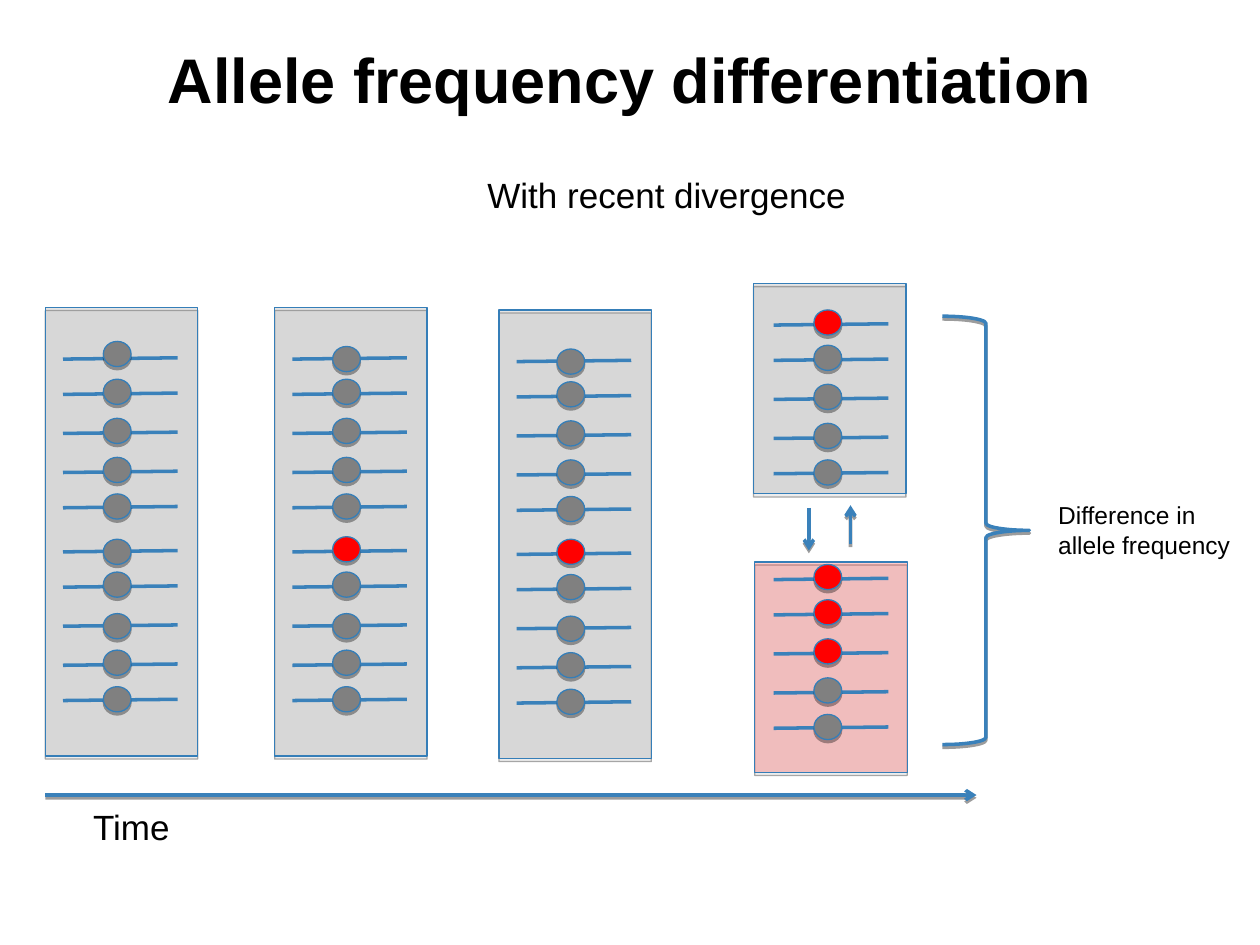
import pptx
import pptx.dml.color
import pptx.enum.shapes
import pptx.enum.text
import pptx.oxml
import pptx.oxml.ns
import pptx.util
from pptx.util import Inches

COLORS = {"ancestral": "808080", "derived": "FF0000", "outline": "357EB8",
          "strand": "3A81BA", "text": "000000", "shadow": "000000"}
SHAPE = pptx.enum.shapes.MSO_SHAPE
rgb = pptx.dml.color.RGBColor.from_string


def set_effects(element, opacity=0, distance=0):
    properties = element.spPr
    for old in properties.findall(pptx.oxml.ns.qn("a:effectLst")):
        properties.remove(old)
    shadow = (f'<a:outerShdw blurRad="0" dist="{pptx.util.Pt(distance)}" dir="5400000" '
              f'rotWithShape="0"><a:srgbClr val="{COLORS["shadow"]}">'
              f'<a:alpha val="{opacity * 1000}"/></a:srgbClr></a:outerShdw>') if opacity else ""
    properties.append(pptx.oxml.parse_xml(
        f'<a:effectLst {pptx.oxml.ns.nsdecls("a")}>{shadow}</a:effectLst>'))


def add_filled(kind, left, top, width, height, color, opacity=100):
    filled = slide.shapes.add_shape(kind, Inches(left), Inches(top), Inches(width), Inches(height))
    filled.fill.solid()
    filled.fill.fore_color.rgb = rgb(color)
    if opacity < 100:
        filled.fill._xPr.find(".//" + pptx.oxml.ns.qn("a:srgbClr")).append(pptx.oxml.parse_xml(
            f'<a:alpha {pptx.oxml.ns.nsdecls("a")} val="{opacity * 1000}"/>'))
    filled.line.color.rgb = rgb(COLORS["outline"])
    filled.line.width = pptx.util.Pt(0.75)
    set_effects(filled._element, 35, 1.8)


presentation = pptx.Presentation()
presentation.slide_width = Inches(10)
presentation.slide_height = Inches(7.5)
slide = presentation.slides.add_slide(presentation.slide_layouts[5])

title = slide.shapes.title
title.left, title.top, title.width, title.height = Inches(0.5), Inches(0), Inches(9), Inches(1.25)
title.text_frame.vertical_anchor = pptx.enum.text.MSO_ANCHOR.MIDDLE
title.text_frame.margin_top = title.text_frame.margin_bottom = Inches(0.1)
heading = title.text_frame.paragraphs[0]
heading.alignment = pptx.enum.text.PP_ALIGN.CENTER
heading_run = heading.add_run()
heading_run.text = "Allele frequency differentiation"
heading_run.font.name = "Arial"
heading_run.font.size = pptx.util.Pt(36)
heading_run.font.bold = True
heading_run.font.color.rgb = rgb(COLORS["text"])

strand_offsets = [0, 0.28, 0.59, 0.9, 1.18, 1.53, 1.81, 2.12, 2.43, 2.71]
allele_offsets = [-0.12, 0.16, 0.47, 0.78, 1.07, 1.41, 1.69, 2.02, 2.31, 2.6]
populations = [
    (0.36, 2.44, 3.56, "ancestral", 0.5, 2.85, 10, [], {0: -0.14, 5: 1.43}),
    (2.18, 2.44, 3.56, "ancestral", 2.32, 2.85, 10, [5], {0: -0.1}),
    (3.96, 2.46, 3.56, "ancestral", 4.1, 2.87, 10, [5], {0: -0.1}),
    (5.98, 2.25, 1.67, "ancestral", 6.14, 2.58, 5, [0], {}),
    (5.99, 4.46, 1.67, "derived", 6.14, 4.6, 5, [0, 1, 2], {}),
]
for left, top, height, tint, strand_left, first, count, derived, moved in populations:
    add_filled(SHAPE.RECTANGLE, left, top, 1.21, height, COLORS[tint], 20)
    for index in range(count):
        y = first + strand_offsets[index]
        strand = slide.shapes.add_connector(
            pptx.enum.shapes.MSO_CONNECTOR.STRAIGHT, Inches(strand_left), Inches(y),
            Inches(strand_left + 0.91), Inches(y - 0.01))
        strand.line.color.rgb = rgb(COLORS["strand"])
        strand.line.width = pptx.util.Pt(2)
        set_effects(strand._element)
        allele = "derived" if index in derived else "ancestral"
        add_filled(SHAPE.OVAL, strand_left + 0.32, first + moved.get(index, allele_offsets[index]),
                   0.22, 0.2, COLORS[allele])

brace = slide.shapes.add_shape(SHAPE.RIGHT_BRACE, Inches(7.48), Inches(2.51),
                               Inches(0.69), Inches(3.4))
brace.adjustments[0] = 0.083
brace.adjustments[1] = 0.5
brace.fill.background()
brace.line.color.rgb = rgb(COLORS["strand"])
brace.line.width = pptx.util.Pt(2)
set_effects(brace._element, 38, 1.6)

arrows = [(6.42, 4.03, 6.42, 4.37), (6.75, 4.32, 6.75, 4.01), (0.36, 6.31, 7.75, 6.31)]
for ends in arrows:
    arrow = slide.shapes.add_connector(pptx.enum.shapes.MSO_CONNECTOR.STRAIGHT,
                                       *[Inches(end) for end in ends])
    arrow.line.color.rgb = rgb(COLORS["strand"])
    arrow.line.width = pptx.util.Pt(2)
    arrow.line._get_or_add_ln().append(pptx.oxml.parse_xml(
        f'<a:tailEnd {pptx.oxml.ns.nsdecls("a")} type="arrow"/>'))
    set_effects(arrow._element, 38, 1.6)

labels = [
    (8.3, 3.92, 1.7, 0.57, 14, ["Difference in", "allele frequency"]),
    (3.77, 1.33, 3.2, 0.43, 20, ["With recent divergence"]),
    (0.64, 6.34, 0.95, 0.43, 20, ["Time"]),
]
for left, top, width, height, size, lines in labels:
    label = slide.shapes.add_textbox(Inches(left), Inches(top), Inches(width), Inches(height))
    frame = label.text_frame
    frame.word_wrap = True
    frame.auto_size = pptx.enum.text.MSO_AUTO_SIZE.NONE
    for index, line in enumerate(lines):
        paragraph = frame.add_paragraph() if index else frame.paragraphs[0]
        run = paragraph.add_run()
        run.text = line
        run.font.name = "Arial"
        run.font.size = pptx.util.Pt(size)
        run.font.color.rgb = rgb(COLORS["text"])

presentation.save("out.pptx")
